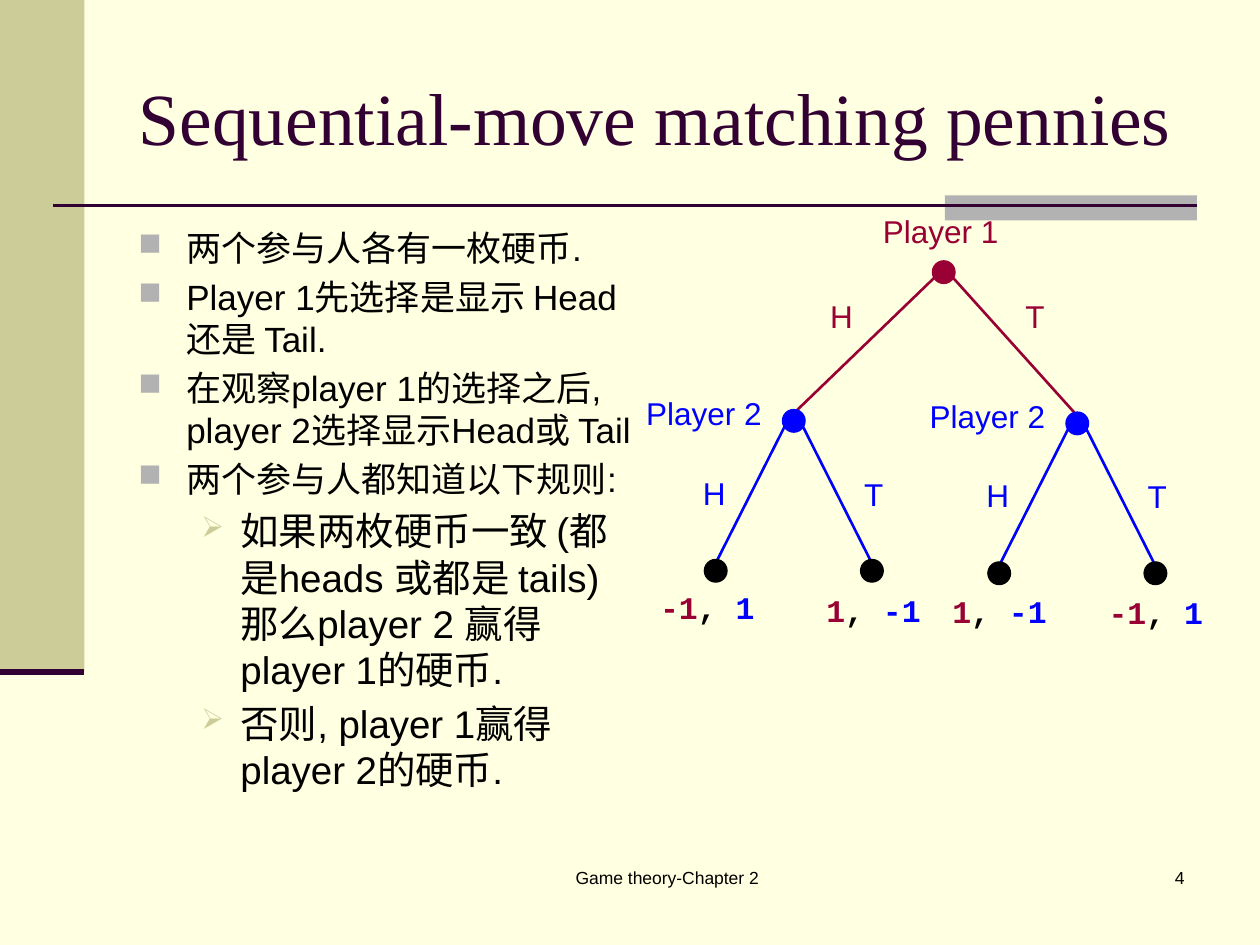
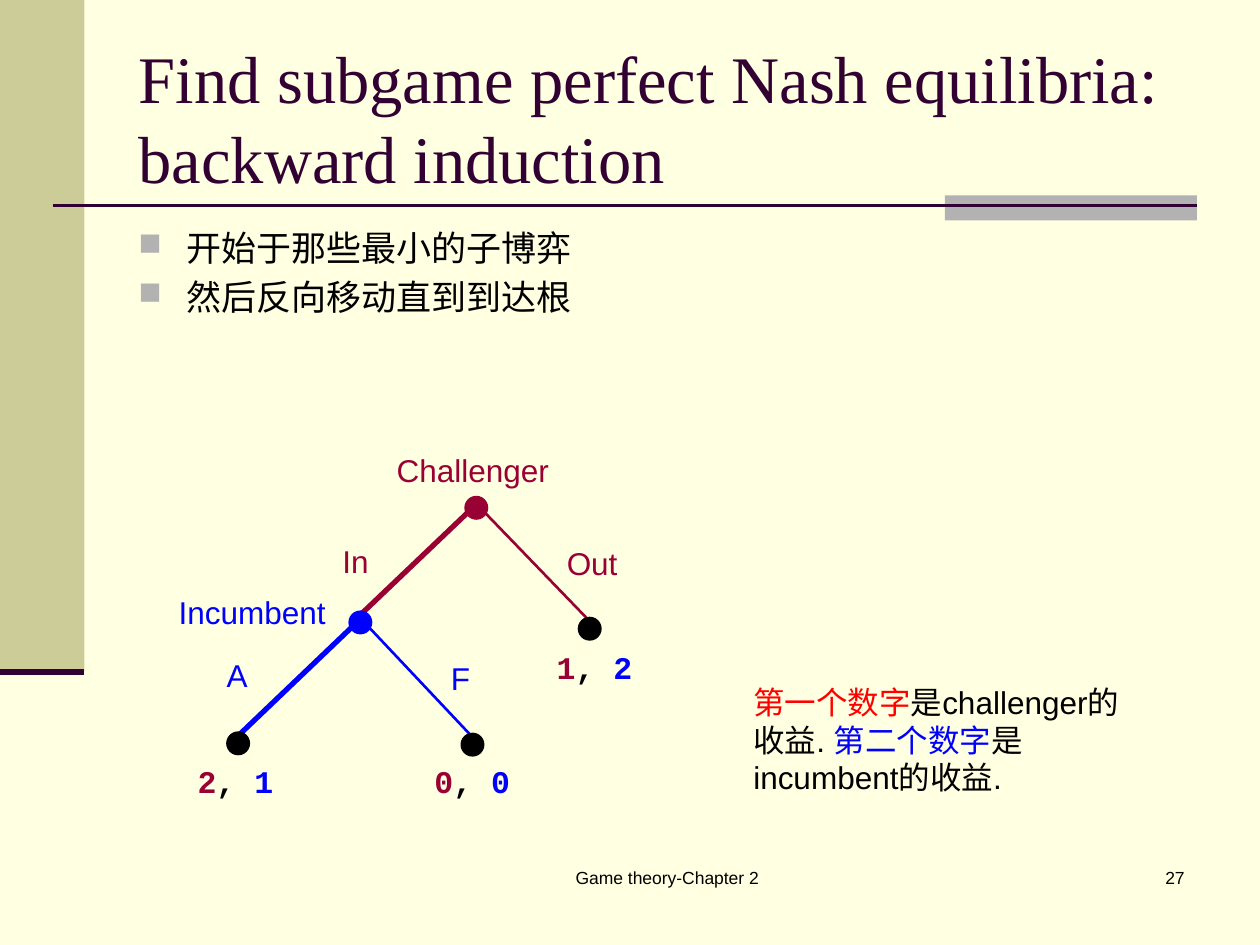
"""Build two game theory slides, each with a title, bullets and a game tree."""
from lxml.etree import SubElement
from pptx import Presentation
from pptx.dml.color import RGBColor
from pptx.enum.shapes import MSO_CONNECTOR, MSO_SHAPE
from pptx.enum.text import MSO_ANCHOR, MSO_AUTO_SIZE, PP_ALIGN
from pptx.oxml.ns import qn
from pptx.util import Inches, Pt

COLORS = {
    "paper": "FFFFE1", "olive": "CCCC99", "gray": "B2B2B2", "plum": "330033",
    "first": "990033", "second": "0000FF", "black": "000000", "red": "FF0000",
}
FOOTER = "Game theory-Chapter 2"
BANDS = [("olive", 0, 0, 0.67, 5.33), ("gray", 7.5, 1.55, 2, 0.2)]
RULES = [((0.42, 1.63), (9.5, 1.63), 1.5), ((0, 5.33), (0.67, 5.33), 3.5)]
BULLETS = [
    {"char": "■", "color": "gray", "percent": 90, "left": 0.38, "hang": 0.38, "size": 20},
    {"char": "➢", "color": "olive", "percent": 75, "left": 0.81, "hang": 0.31, "size": 22},
]
NODE_SIZE = 0.18
LABEL_HEIGHT = 0.4
SUBGAME_SHIFTS = {"h": (0, 0), "t": (2.25, 0.02)}
SUBGAME = {
    "nodes": [("", 6.3, 3.34, "second"), ("h", 5.68, 4.53, "black"), ("t", 6.92, 4.53, "black")],
    "labels": [("Player 2", "second", 5.03, 3.08, 1.16), ("H", "second", 5.48, 3.71, 0.47),
               ("T", "second", 6.76, 3.72, 0.41)],
}


def pennies_tree():
    """Return the matching pennies tree, with player 2's subgame placed twice."""
    tree = {
        "nodes": {"root": (7.49, 2.16, "first")},
        "edges": [],
        "labels": [("Player 1", "first", 6.91, 1.63, 1.2), ("H", "first", 6.49, 2.31, 0.37),
                   ("T", "first", 8.04, 2.31, 0.4)],
        "payoffs": [("-1", "1", 5.14, 4.62, 0.97), ("1", "-1", 6.46, 4.64, 0.96),
                    ("1", "-1", 7.46, 4.65, 0.97), ("-1", "1", 8.7, 4.66, 0.96)],
    }
    for move, (dx, dy) in SUBGAME_SHIFTS.items():
        for reply, x, y, color in SUBGAME["nodes"]:
            tree["nodes"][move + reply] = (x + dx, y + dy, color)
        tree["edges"].append(("root", move, 1.5))
        tree["edges"] += [(move, move + reply, 1.5) for reply in "ht"]
        tree["labels"] += [(text, color, x + dx, y + dy, w)
                           for text, color, x, y, w in SUBGAME["labels"]]
    return tree


ENTRY_TREE = {
    "nodes": {
        "challenger": (3.78, 4.03, "first"), "incumbent": (2.86, 4.94, "second"),
        "out": (4.68, 4.99, "black"), "fight": (3.75, 5.91, "black"),
        "accommodate": (1.89, 5.9, "black"),
    },
    "edges": [("challenger", "incumbent", 3), ("challenger", "out", 1.5),
              ("incumbent", "accommodate", 3), ("incumbent", "fight", 1.5)],
    "labels": [
        ("Challenger", "first", 3.05, 3.53, 1.47), ("In", "first", 2.62, 4.25, 0.47),
        ("Out", "first", 4.4, 4.27, 0.63), ("Incumbent", "second", 1.32, 4.66, 1.37),
        ("A", "second", 1.7, 5.16, 0.47), ("F", "second", 3.48, 5.18, 0.41),
    ],
    "payoffs": [("1", "2", 4.32, 5.09, 0.84), ("2", "1", 1.47, 6, 0.84),
                ("0", "0", 3.35, 6, 0.84)],
}
SLIDES = [
    {
        "title": "Sequential-move matching pennies", "title_size": 42, "number": "4",
        "body_box": (1, 1.75, 4.15, 4.95),
        "body": [
            (0, "两个参与人各有一枚硬币."),
            (0, "Player 1先选择是显示 Head还是 Tail."),
            (0, "在观察player 1的选择之后, player 2选择显示Head或 Tail"),
            (0, "两个参与人都知道以下规则:"),
            (1, "如果两枚硬币一致 (都是heads 或都是 tails) 那么player 2 赢得 player 1的硬币."),
            (1, "否则, player 1赢得 player 2的硬币."),
        ],
        "tree": pennies_tree(), "note": [],
    },
    {
        "title": "Find subgame perfect Nash equilibria: backward induction",
        "title_size": 38, "number": "27",
        "body_box": (1, 1.75, 8.42, 1.32),
        "body": [(0, "开始于那些最小的子博弈"), (0, "然后反向移动直到到达根")],
        "tree": ENTRY_TREE,
        "note": [("第一个数字", "red"), ("是challenger的收益. ", "black"),
                 ("第二个数字", "second"), ("是incumbent的收益.", "black")],
    },
]
NOTE_BOX = (5.88, 5.37, 3.32, 1)


def rgb(name):
    return RGBColor.from_string(COLORS[name])


def write(p, runs, size, font="Arial", bold=False):
    for text, color in runs:
        r = p.add_run()
        r.text = text
        for key, value in {"size": Pt(size), "name": font, "bold": bold}.items():
            setattr(r.font, key, value)
        r.font.color.rgb = rgb(color)


def add_box(s, box):
    tf = s.shapes.add_textbox(*map(Inches, box)).text_frame
    tf.word_wrap = True
    return tf


def add_text(s, box, runs, size=18, align=PP_ALIGN.LEFT, **style):
    p = add_box(s, box).paragraphs[0]
    p.alignment = align
    write(p, runs, size, **style)


def add_solid(s, shape, color, box, outline=None):
    sp = s.shapes.add_shape(shape, *map(Inches, box))
    sp.shadow.inherit = False
    sp.fill.solid()
    sp.fill.fore_color.rgb = rgb(color)
    if outline:
        sp.line.color.rgb = rgb(color)
        sp.line.width = Pt(outline)
    else:
        sp.line.fill.background()


def add_line(s, start, end, color, width):
    line = s.shapes.add_connector(MSO_CONNECTOR.STRAIGHT, *map(Inches, (*start, *end)))
    line.line.color.rgb = rgb(color)
    line.line.width = Pt(width)
    SubElement(line._element.spPr, qn("a:effectLst"))


def add_bullets(s, box, items):
    tf = add_box(s, box)
    for i, (level, text) in enumerate(items):
        p = tf.add_paragraph() if i else tf.paragraphs[0]
        bullet = BULLETS[level]
        p.level = level
        p.space_before = Pt(bullet["size"] * 0.2)
        pPr = p._p.get_or_add_pPr()
        pPr.set("marL", str(Inches(bullet["left"])))
        pPr.set("indent", str(-Inches(bullet["hang"])))
        color = SubElement(pPr, qn("a:buClr"))
        SubElement(color, qn("a:srgbClr"), val=COLORS[bullet["color"]])
        SubElement(pPr, qn("a:buSzPct"), val=str(bullet["percent"] * 1000))
        SubElement(pPr, qn("a:buChar"), char=bullet["char"])
        write(p, [(text, "black")], bullet["size"])


def add_tree(s, tree):
    nodes = tree["nodes"]
    for parent, child, width in tree["edges"]:
        (px, py, color), (cx, cy, _) = nodes[parent], nodes[child]
        side = 0.07 if cx > px else -0.07
        add_line(s, (px + side, py + 0.04), (cx, cy - 0.06), color, width)
    for x, y, color in nodes.values():
        box = (x - NODE_SIZE / 2, y - NODE_SIZE / 2, NODE_SIZE, NODE_SIZE)
        add_solid(s, MSO_SHAPE.OVAL, color, box, 0.75)
    for text, color, x, y, w in tree["labels"]:
        add_text(s, (x, y, w, LABEL_HEIGHT), [(text, color)])
    for first, second, x, y, w in tree["payoffs"]:
        runs = [(first, "first"), (", ", "black"), (second, "second")]
        add_text(s, (x, y, w, LABEL_HEIGHT), runs, font="Courier New", bold=True)


def add_frame(s, title, size, number):
    for color, *box in BANDS:
        add_solid(s, MSO_SHAPE.RECTANGLE, color, box)
    for start, end, width in RULES:
        add_line(s, start, end, "plum", width)
    add_text(s, (3.67, 6.83, 3.25, 0.5), [(FOOTER, "black")], 10, PP_ALIGN.CENTER)
    add_text(s, (7.42, 6.83, 2.08, 0.5), [(number, "black")], 10, PP_ALIGN.RIGHT)
    sp = s.shapes.title
    for key, value in zip(("left", "top", "width", "height"), (1, 0.3, 8.5, 1.25)):
        setattr(sp, key, Inches(value))
    tf = sp.text_frame
    for key, value in {"word_wrap": True, "auto_size": MSO_AUTO_SIZE.NONE,
                       "vertical_anchor": MSO_ANCHOR.MIDDLE}.items():
        setattr(tf, key, value)
    p = tf.paragraphs[0]
    p.alignment = PP_ALIGN.LEFT
    write(p, [(title, "plum")], size, "Times New Roman")


def main():
    prs = Presentation()
    prs.slide_width, prs.slide_height = Inches(10), Inches(7.5)
    fill = prs.slide_master.background.fill
    fill.solid()
    fill.fore_color.rgb = rgb("paper")
    for content in SLIDES:
        s = prs.slides.add_slide(prs.slide_layouts[5])
        add_frame(s, content["title"], content["title_size"], content["number"])
        add_bullets(s, content["body_box"], content["body"])
        add_tree(s, content["tree"])
        if content["note"]:
            add_text(s, NOTE_BOX, content["note"])
    prs.save("out.pptx")


if __name__ == "__main__":
    main()
